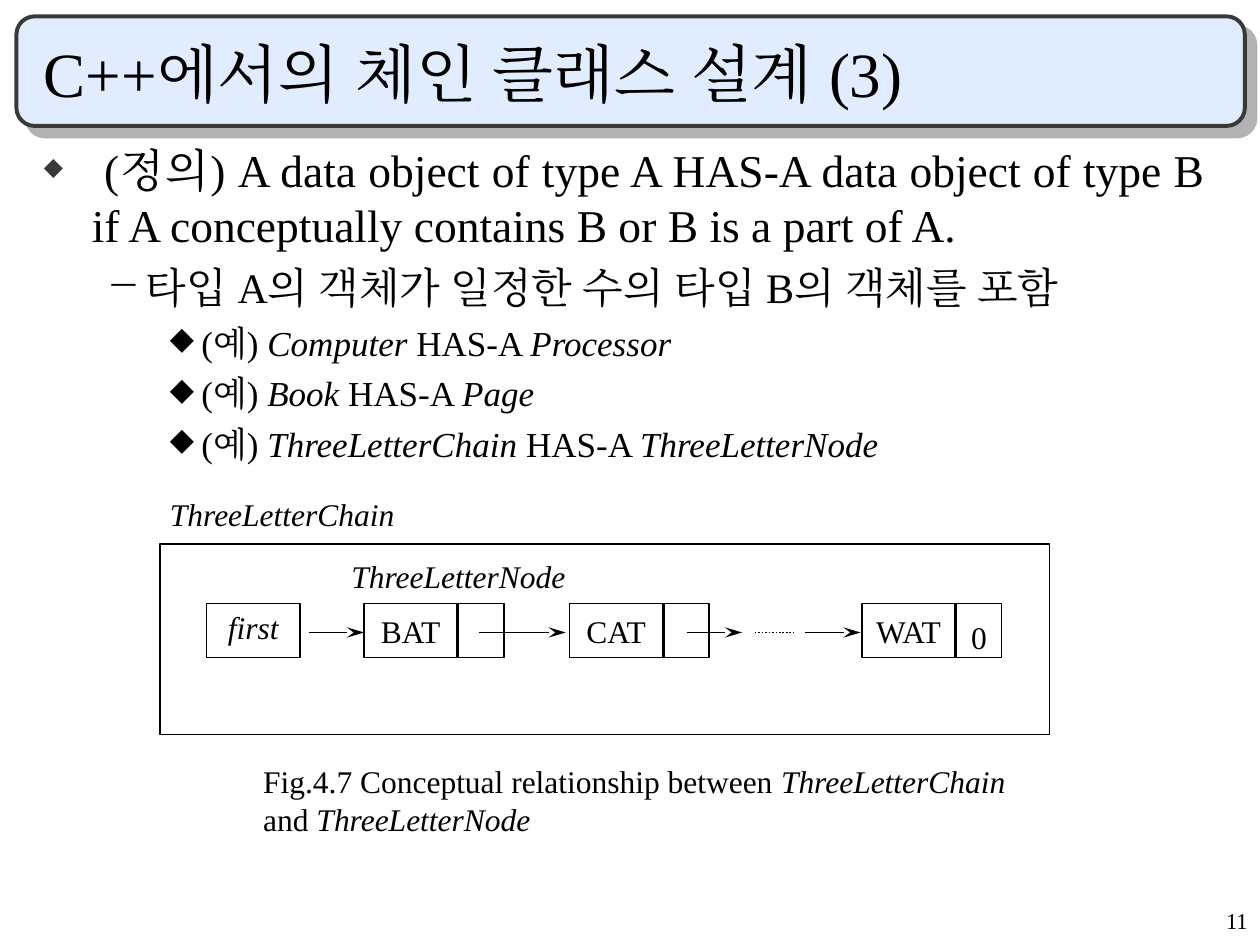
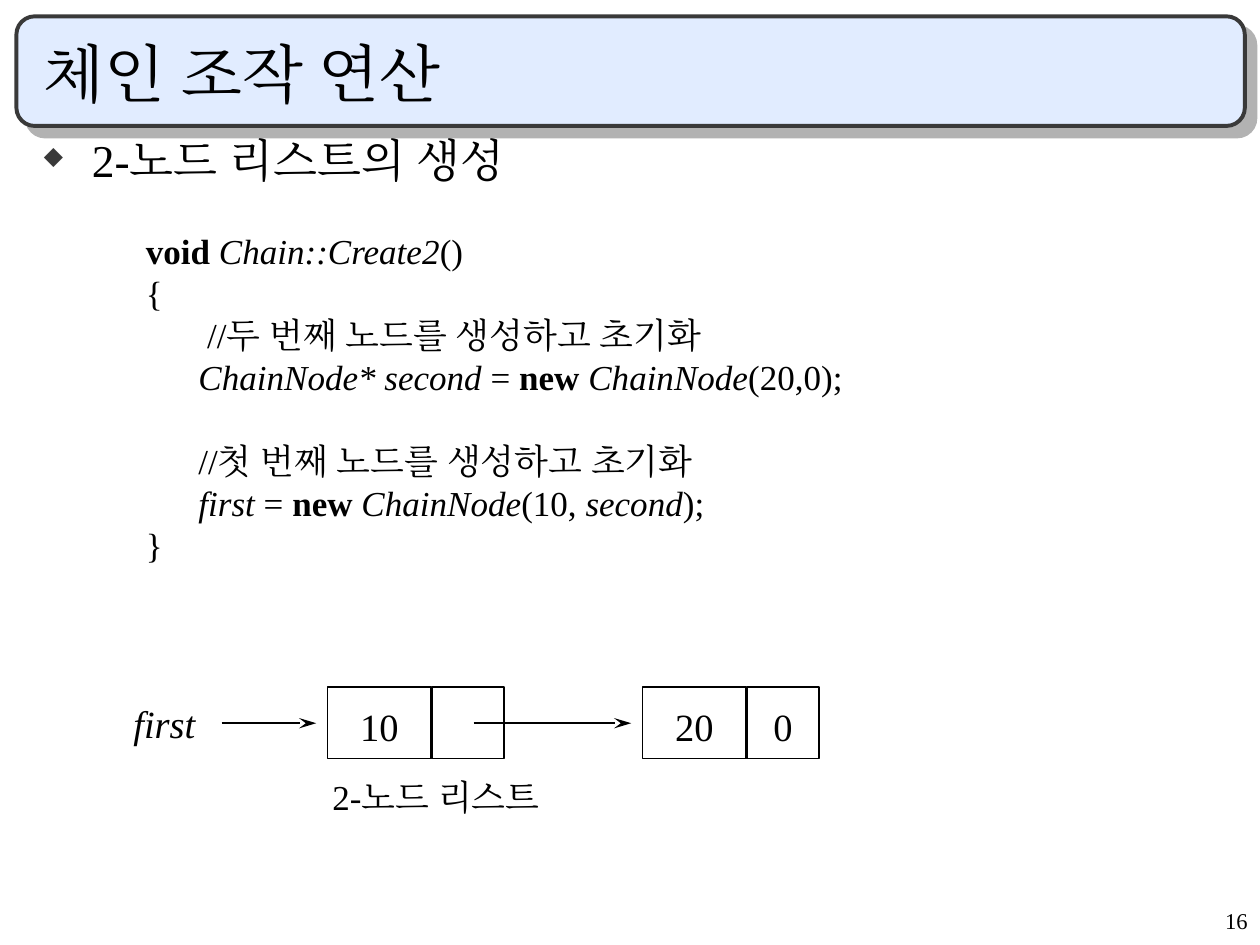
from dataclasses import dataclass

from lxml.etree import SubElement
from pptx import Presentation
from pptx.dml.color import RGBColor as Rgb
from pptx.enum.dml import MSO_LINE_DASH_STYLE as Dash
from pptx.enum.shapes import MSO_CONNECTOR as Link, MSO_SHAPE as Preset
from pptx.enum.text import MSO_ANCHOR as Anchor, PP_ALIGN as Align
from pptx.oxml.ns import qn
from pptx.util import Inches, Pt


@dataclass(frozen=True)
class Theme:
    font: str = "Times New Roman"
    ink: str = "000000"
    paper: str = "FFFFFF"
    band: str = "E1ECFF"
    edge: str = "393939"
    shade: str = "B2B2B2"
    title: float = 36
    topic: float = 26
    point: float = 24
    body: float = 20
    node: float = 22
    figure: float = 18
    footer: float = 12.9


@dataclass(frozen=True)
class Level:
    size: float
    margin: float
    hang: float
    before: float
    mark: str
    color: str
    scale: int = 100


THEME = Theme()
LEVELS = [
    Level(THEME.topic, 0.38, 0.38, 6.5, "◆", THEME.edge, 55),
    Level(THEME.point, 0.81, 0.31, 6, "−", THEME.ink),
    Level(THEME.body, 1.25, 0.25, 5, "◆", THEME.ink, 90),
]


def add(parent, tag, **attributes):
    return SubElement(parent, qn(tag), {k: str(v) for k, v in attributes.items()})


def write(paragraph, content, size, align=Align.LEFT, spacing=None, before=0, style=""):
    paragraph.alignment = align
    paragraph.space_before = Pt(before)
    if spacing:
        paragraph.line_spacing = spacing
    runs = [(content, style)] if isinstance(content, str) else content
    for words, emphasis in runs:
        run = paragraph.add_run()
        run.text = words
        font = run.font
        font.name, font.size = THEME.font, Pt(size)
        font.bold, font.italic = "b" in emphasis, "i" in emphasis
        font.color.rgb = Rgb.from_string(THEME.ink)
        add(run._r.get_or_add_rPr(), "a:ea", typeface=THEME.font)


def next_paragraph(frame, index):
    return frame.add_paragraph() if index else frame.paragraphs[0]


def text_box(slide, x, y, w, h, wrap=True, anchor=Anchor.TOP):
    frame = slide.shapes.add_textbox(Inches(x), Inches(y), Inches(w), Inches(h)).text_frame
    frame.word_wrap = wrap
    frame.vertical_anchor = anchor
    return frame


def label(slide, content, x, y, w, h=0.4, size=THEME.figure, wrap=False,
          anchor=Anchor.TOP, **look):
    frame = text_box(slide, x, y, w, h, wrap, anchor)
    write(frame.paragraphs[0], content, size, **look)


def panel(slide, x, y, w, h, fill=None, edge=None, weight=1, preset=Preset.RECTANGLE):
    shape = slide.shapes.add_shape(preset, Inches(x), Inches(y), Inches(w), Inches(h))
    shape.shadow.inherit = False
    if fill:
        shape.fill.solid()
        shape.fill.fore_color.rgb = Rgb.from_string(fill)
    else:
        shape.fill.background()
    if edge:
        shape.line.color.rgb = Rgb.from_string(edge)
        shape.line.width = Pt(weight)
    else:
        shape.line.fill.background()
    return shape


def cell(slide, content, x, y, w, h, size, drop=0, style=""):
    frame = panel(slide, x, y, w, h, edge=THEME.ink).text_frame
    frame.word_wrap = False
    frame.vertical_anchor = Anchor.MIDDLE
    frame.margin_left = frame.margin_right = frame.margin_bottom = 0
    frame.margin_top = Inches(2 * drop)
    if content:
        write(frame.paragraphs[0], content, size, align=Align.CENTER, style=style)


def list_node(slide, data, link, x, y, widths, h, size, data_drop=0, link_drop=0):
    data_width, link_width = widths
    cell(slide, data, x, y, data_width, h, size, data_drop)
    cell(slide, link, x + data_width + 0.01, y, link_width, h, size, link_drop)


def level_line(slide, start, end, y, dotted=False):
    line = slide.shapes.add_connector(
        Link.STRAIGHT, Inches(start), Inches(y), Inches(end), Inches(y))
    line.line.color.rgb = Rgb.from_string(THEME.ink)
    line.line.width = Pt(1)
    if dotted:
        line.line.dash_style = Dash.ROUND_DOT
    else:
        add(line.line._get_or_add_ln(), "a:tailEnd", type="stealth", len="lg")
    add(line._element.spPr, "a:effectLst")


def outline(slide, items, h, align=Align.LEFT, spacing=None):
    frame = text_box(slide, 0.25, 1.08, 9.42, h)
    for index, (depth, content) in enumerate(items):
        level = LEVELS[depth]
        paragraph = next_paragraph(frame, index)
        paragraph.level = depth
        props = paragraph._p.get_or_add_pPr()
        props.set("marL", str(Inches(level.margin)))
        props.set("indent", str(-Inches(level.hang)))
        add(add(props, "a:buClr"), "a:srgbClr", val=level.color)
        add(props, "a:buSzPct", val=level.scale * 1000)
        add(props, "a:buChar", char=level.mark)
        write(paragraph, content, level.size, align, spacing,
              before=level.before if index else 0)


def code_block(slide, lines, x, y, w, h):
    frame = panel(slide, x, y, w, h, fill=THEME.paper).text_frame
    frame.word_wrap = True
    frame.vertical_anchor = Anchor.TOP
    for index, (gap, content) in enumerate(lines):
        write(next_paragraph(frame, index), content, THEME.body, before=gap)


def start_slide(deck, title, number):
    slide = deck.slides.add_slide(deck.slide_layouts[6])
    band = panel(slide, 0.13, 0.13, 9.75, 0.87, THEME.band, THEME.edge, 2.25,
                 Preset.ROUNDED_RECTANGLE)
    band.adjustments[0] = 0.167
    effects = band._element.spPr.find(qn("a:effectLst"))
    shadow = add(effects, "a:outerShdw", dist=Pt(8.5), dir=45 * 60000, rotWithShape=0)
    add(shadow, "a:srgbClr", val=THEME.shade)
    label(slide, str(number), 7.92, 7.17, 2.08, 0.33, THEME.footer, wrap=True,
          align=Align.RIGHT, spacing=0.9)
    label(slide, title, 0.25, 0.25, 9.42, 0.67, THEME.title, wrap=True, anchor=Anchor.BOTTOM)
    return slide


def has_a(owner, part):
    return 2, [("(예) ", ""), (owner, "i"), (" HAS-A ", ""), (part, "i")]


def chain_class_slide(deck):
    slide = start_slide(deck, "C++에서의 체인 클래스 설계 (3)", 11)
    definition = ("(정의) A data object of type A HAS-A data object of type B "
                  "if A conceptually contains B or B is a part of A.")
    outline(slide, [
        (0, [(" ", "b"), (definition, "")]),
        (1, "타입 A의 객체가 일정한 수의 타입 B의 객체를 포함"),
        has_a("Computer", "Processor"),
        has_a("Book", "Page"),
        has_a("ThreeLetterChain", "ThreeLetterNode"),
    ], 2.82, Align.JUSTIFY)

    label(slide, "ThreeLetterChain", 1.25, 3.88, 1.99, style="i")
    panel(slide, 1.27, 4.32, 7.06, 1.51, edge=THEME.ink)
    label(slide, "ThreeLetterNode", 2.69, 4.37, 1.91, style="i")
    top, height, widths = 4.79, 0.43, (0.74, 0.36)
    cell(slide, "first", 1.64, top, widths[0], height, THEME.figure, -0.03, "i")
    for data, link, x in (("BAT", "", 2.89), ("CAT", "", 4.52), ("WAT", "0", 6.84)):
        list_node(slide, data, link, x, top, widths, height, THEME.figure, link_drop=0.05)
    for start, end in ((2.45, 2.89), (3.8, 4.49), (5.45, 5.89), (6.39, 6.83)):
        level_line(slide, start, end, 5.02)
    level_line(slide, 5.99, 6.3, 5.02, dotted=True)

    caption = text_box(slide, 1.99, 6, 6.16, 0.7, wrap=False)
    for index, (lead, name) in enumerate((
            ("Fig.4.7 Conceptual relationship between ", "ThreeLetterChain"),
            ("and ", "ThreeLetterNode"))):
        write(next_paragraph(caption, index), [(lead, ""), (name, "i")], THEME.figure)


def chain_operation_slide(deck):
    slide = start_slide(deck, "체인 조작 연산", 16)
    outline(slide, [(0, "2-노드 리스트의 생성")], 0.48, spacing=0.8)
    code_block(slide, [
        (0, [("void ", "b"), ("Chain::Create2", "i"), ("()", "")]),
        (0, "{"),
        (0, "       //두 번째 노드를 생성하고 초기화"),
        (0, [("      ", ""), ("ChainNode* second ", "i"), ("= ", ""), ("new ", "b"),
             ("ChainNode", "i"), ("(20,0);", "")]),
        (24, "      //첫 번째 노드를 생성하고 초기화"),
        (0, [("      ", ""), ("first", "i"), (" = ", ""), ("new ", "b"),
             ("ChainNode", "i"), ("(10, ", ""), ("second", "i"), (");", "")]),
        (0, "}"),
    ], 1.06, 1.77, 7.24, 2.77)

    label(slide, "first", 0.96, 5.51, 0.69, 0.47, THEME.node, style="i")
    for index, (data, link) in enumerate((("10", ""), ("20", "0"))):
        x = 2.6 + 2.5 * index
        list_node(slide, data, link, x, 5.45, (0.82, 0.57), 0.57, THEME.node, 0.03, 0.03)
    for start, end in ((1.76, 2.51), (3.76, 5.01)):
        level_line(slide, start, end, 5.74)
    label(slide, "2-노드 리스트", 2.54, 6.17, 1.92, 0.47, THEME.body, wrap=True, spacing=0.8)


def main():
    deck = Presentation()
    deck.slide_width, deck.slide_height = Inches(10), Inches(7.5)
    chain_class_slide(deck)
    chain_operation_slide(deck)
    deck.save("out.pptx")


if __name__ == "__main__":
    main()
